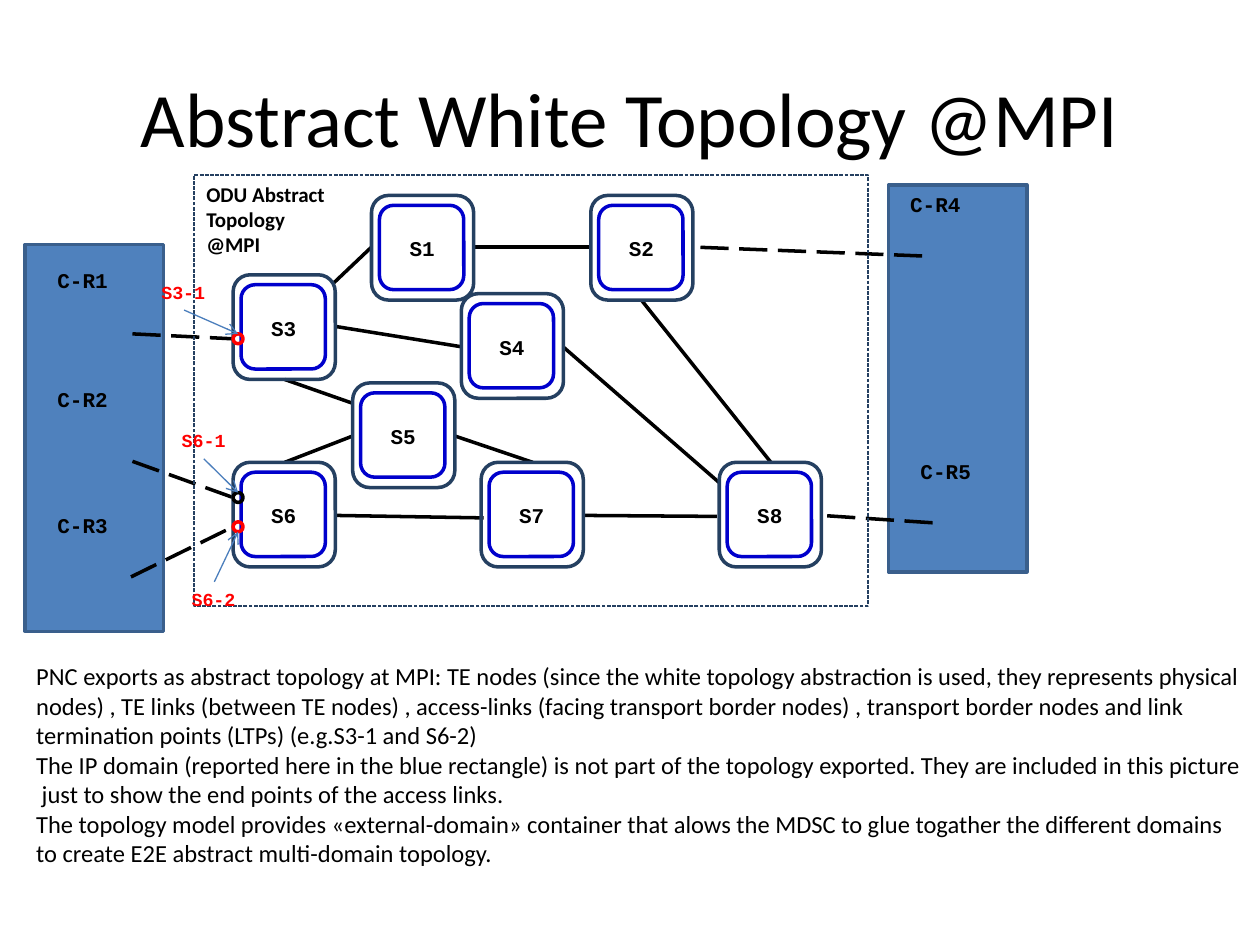
from dataclasses import dataclass

import pptx
import pptx.dml.color
import pptx.enum.dml
import pptx.enum.shapes
import pptx.enum.text
import pptx.util
from lxml import etree
from pptx.oxml.ns import qn

Cm = pptx.util.Cm
RGBColor = pptx.dml.color.RGBColor
Shapes = pptx.enum.shapes.MSO_SHAPE
Dash = pptx.enum.dml.MSO_LINE
Align = pptx.enum.text.PP_ALIGN
Anchor = pptx.enum.text.MSO_ANCHOR

BLACK = RGBColor(0x00, 0x00, 0x00)
RED = RGBColor(0xFF, 0x00, 0x00)
DOMAIN_BLUE = RGBColor(0x4F, 0x81, 0xBD)
DOMAIN_EDGE = RGBColor(0x3A, 0x5F, 0x8C)
NAVY = RGBColor(0x25, 0x40, 0x61)
NODE_BLUE = RGBColor(0x00, 0x00, 0xCC)
ARROW_BLUE = RGBColor(0x4B, 0x7E, 0xBC)


@dataclass
class Label:
    """A text with the top left corner of its box, in centimetres."""
    text: str
    left: float
    top: float


@dataclass
class Link:
    """A straight link between two points, in centimetres."""
    x1: float
    y1: float
    x2: float
    y2: float


@dataclass
class TerminationPoint:
    left: float
    top: float
    color: RGBColor


@dataclass
class TextStyle:
    font: str
    size: float
    color: RGBColor = BLACK
    bold: bool = False
    align: Align = Align.LEFT
    anchor: Anchor = Anchor.TOP
    wrap: bool = True


TITLE_STYLE = TextStyle("Calibri", 44, align=Align.CENTER, anchor=Anchor.MIDDLE)
BODY_STYLE = TextStyle("Calibri", 14)
CAPTION_STYLE = TextStyle("Calibri", 12, bold=True)
NODE_STYLE = TextStyle("Courier New", 12, bold=True, align=Align.CENTER, wrap=False)
POINT_STYLE = TextStyle("Courier New", 10.5, RED, True, Align.CENTER, wrap=False)

TITLE = "Abstract White Topology @MPI"
CAPTION = ["ODU Abstract", "Topology", "@MPI"]
BODY = [
    "PNC exports as abstract topology at MPI: TE nodes (since the white topology "
    "abstraction is used, they represents physical nodes) , TE links (between TE "
    "nodes) , access-links (facing transport border nodes) , transport border nodes "
    "and link termination points (LTPs) (e.g.S3-1 and S6-2)",
    "The IP domain (reported here in the blue rectangle) is not part of the topology "
    "exported. They are included in this picture  just to show the end points of the "
    "access links.",
    "The topology model provides «external-domain» container that alows the MDSC to "
    "glue togather the different domains to create E2E abstract multi-domain topology.",
]

NODES = [
    Label("S3", 4.7, 5.54), Label("S6", 4.7, 9.32),
    Label("S1", 7.49, 3.94), Label("S2", 11.91, 3.94),
    Label("S4", 9.3, 5.92), Label("S5", 7.11, 7.72),
    Label("S7", 9.7, 9.32), Label("S8", 14.5, 9.32),
]
ROUTERS = [
    Label("C-R1", 0.89, 5.26), Label("C-R2", 0.89, 7.67), Label("C-R3", 0.89, 10.21),
    Label("C-R4", 18.08, 3.73), Label("C-R5", 18.29, 9.12),
]
POINT_LABELS = [
    Label("S3-1", 2.49, 5.54), Label("S6-1", 2.9, 8.53), Label("S6-2", 3.1, 11.73),
]
POINTS = [
    TerminationPoint(4.7, 6.73, RED),
    TerminationPoint(4.7, 9.93, BLACK),
    TerminationPoint(4.7, 10.52, RED),
]
TE_LINKS = [
    Link(6.71, 5.72, 7.49, 4.98), Link(9.58, 4.98, 11.91, 4.98),
    Link(6.76, 6.58, 9.3, 6.99), Link(6.76, 10.39, 9.75, 10.44),
    Link(11.76, 10.39, 14.45, 10.41), Link(5.74, 9.32, 7.11, 8.79),
    Link(5.74, 7.65, 7.11, 8.13), Link(9.17, 8.79, 10.74, 9.32),
    Link(11.35, 6.99, 14.5, 9.73), Link(15.54, 9.32, 12.93, 6.05),
]
ACCESS_LINKS = [
    Link(2.67, 6.73, 4.7, 6.83), Link(2.67, 9.3, 4.7, 10.03),
    Link(2.64, 11.63, 4.7, 10.62), Link(18.59, 5.16, 13.97, 4.98),
    Link(18.8, 10.54, 16.56, 10.39),
]
POINTERS = [
    Link(3.71, 6.25, 4.8, 6.73), Link(4.11, 9.25, 4.8, 9.93),
    Link(4.32, 11.73, 4.8, 10.72),
]


def add_outline(shapes, kind: Shapes, left: float, top: float, width: float,
                height: float, color: RGBColor, line_width: float = 2,
                fill: RGBColor | None = None):
    shape = shapes.add_shape(kind, Cm(left), Cm(top), Cm(width), Cm(height))
    shape.shadow.inherit = False
    if fill is None:
        shape.fill.background()
    else:
        shape.fill.solid()
        shape.fill.fore_color.rgb = fill
    shape.line.color.rgb = color
    shape.line.width = pptx.util.Pt(line_width)
    return shape


def add_text(shapes, lines: list[str], left: float, top: float, width: float,
             height: float, style: TextStyle) -> None:
    box = shapes.add_textbox(Cm(left), Cm(top), Cm(width), Cm(height))
    frame = box.text_frame
    frame.word_wrap = style.wrap
    frame.vertical_anchor = style.anchor
    frame.text = "\n".join(lines)
    for paragraph in frame.paragraphs:
        paragraph.alignment = style.align
        for run in paragraph.runs:
            run.font.name = style.font
            run.font.size = pptx.util.Pt(style.size)
            run.font.bold = style.bold
            run.font.color.rgb = style.color


def add_link(shapes, link: Link, color: RGBColor = BLACK, width: float = 2,
             dash: Dash | None = None, arrow: bool = False) -> None:
    connector = shapes.add_connector(
        pptx.enum.shapes.MSO_CONNECTOR.STRAIGHT,
        Cm(link.x1), Cm(link.y1), Cm(link.x2), Cm(link.y2))
    connector.line.color.rgb = color
    connector.line.width = pptx.util.Pt(width)
    if dash is not None:
        connector.line.dash_style = dash
    if arrow:
        etree.SubElement(connector.line._get_or_add_ln(), qn("a:tailEnd"), type="arrow")
    etree.SubElement(connector._element.spPr, qn("a:effectLst"))


def add_node(shapes, node: Label) -> None:
    group = shapes.add_group_shape().shapes
    add_outline(group, Shapes.ROUNDED_RECTANGLE, node.left, node.top, 2.06, 2.11, NAVY)
    add_outline(group, Shapes.ROUNDED_RECTANGLE, node.left + 0.16, node.top + 0.2,
                1.7, 1.7, NODE_BLUE)
    add_text(group, [node.text], node.left + 0.37, node.top + 0.69, 1.3, 0.76, NODE_STYLE)


def main() -> None:
    presentation = pptx.Presentation()
    presentation.slide_width, presentation.slide_height = Cm(25.4), Cm(19.05)
    shapes = presentation.slides.add_slide(presentation.slide_layouts[6]).shapes

    # IP domains and title
    for left, top in [(0.51, 4.93), (17.91, 3.73)]:
        add_outline(shapes, Shapes.RECTANGLE, left, top, 2.79, 7.8, DOMAIN_EDGE,
                    fill=DOMAIN_BLUE)
    add_text(shapes, [TITLE], 1.27, 0.76, 22.86, 3.18, TITLE_STYLE)

    # Links and topology boundary
    for link in TE_LINKS:
        add_link(shapes, link)
    for link in ACCESS_LINKS:
        add_link(shapes, link, dash=Dash.LONG_DASH)
    boundary = add_outline(shapes, Shapes.RECTANGLE, 3.91, 3.53, 13.59, 8.69, NAVY, 0.75)
    boundary.line.dash_style = Dash.SQUARE_DOT
    add_text(shapes, CAPTION, 3.91, 3.53, 3.4, 1.8, CAPTION_STYLE)

    # Nodes, routers and link termination points
    for router in ROUTERS:
        add_text(shapes, [router.text], router.left, router.top, 1.55, 0.76, NODE_STYLE)
    for node in NODES:
        add_node(shapes, node)
    for point in POINTS:
        add_outline(shapes, Shapes.OVAL, point.left, point.top, 0.2, 0.2, point.color)
    for label in POINT_LABELS:
        add_text(shapes, [label.text], label.left, label.top, 2.41, 0.74, POINT_STYLE)
    for pointer in POINTERS:
        add_link(shapes, pointer, ARROW_BLUE, 0.75, arrow=True)

    # Explanation
    add_text(shapes, BODY, 0.48, 13.21, 24.89, 4.45, BODY_STYLE)
    presentation.save("out.pptx")


if __name__ == "__main__":
    main()
